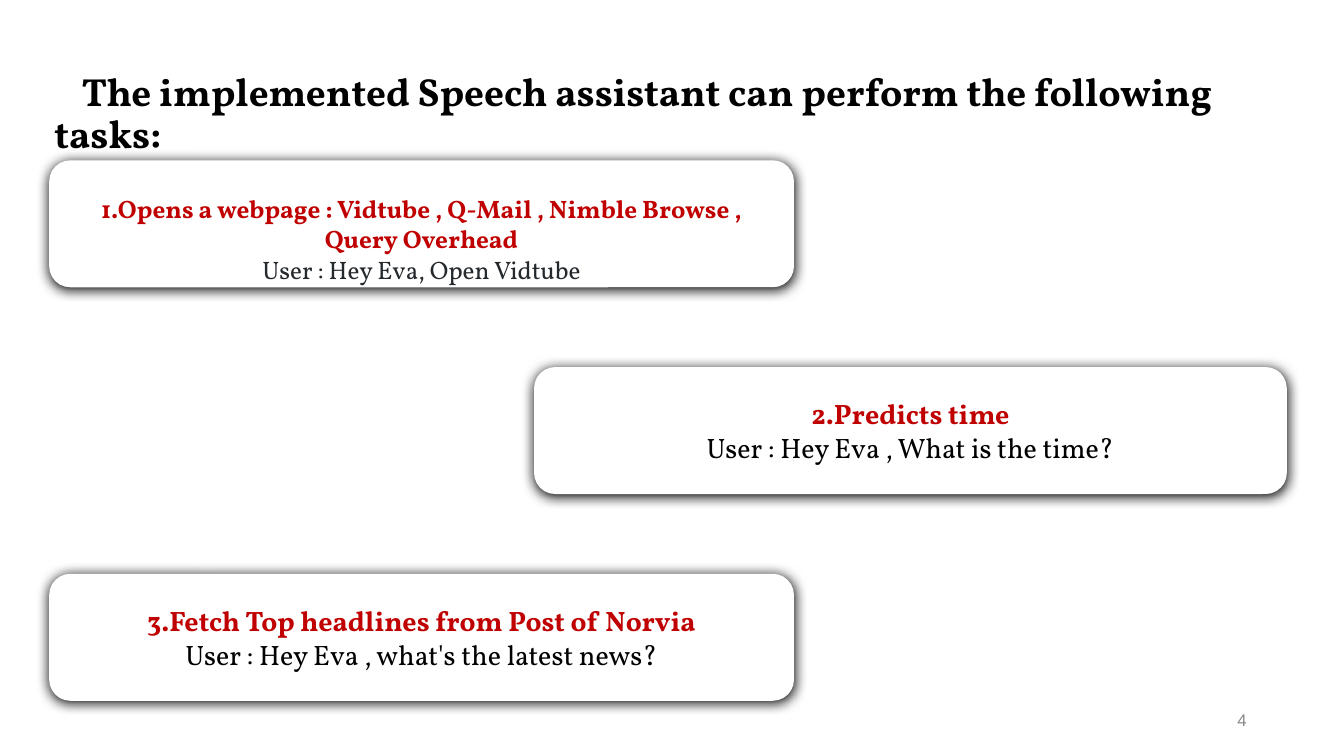
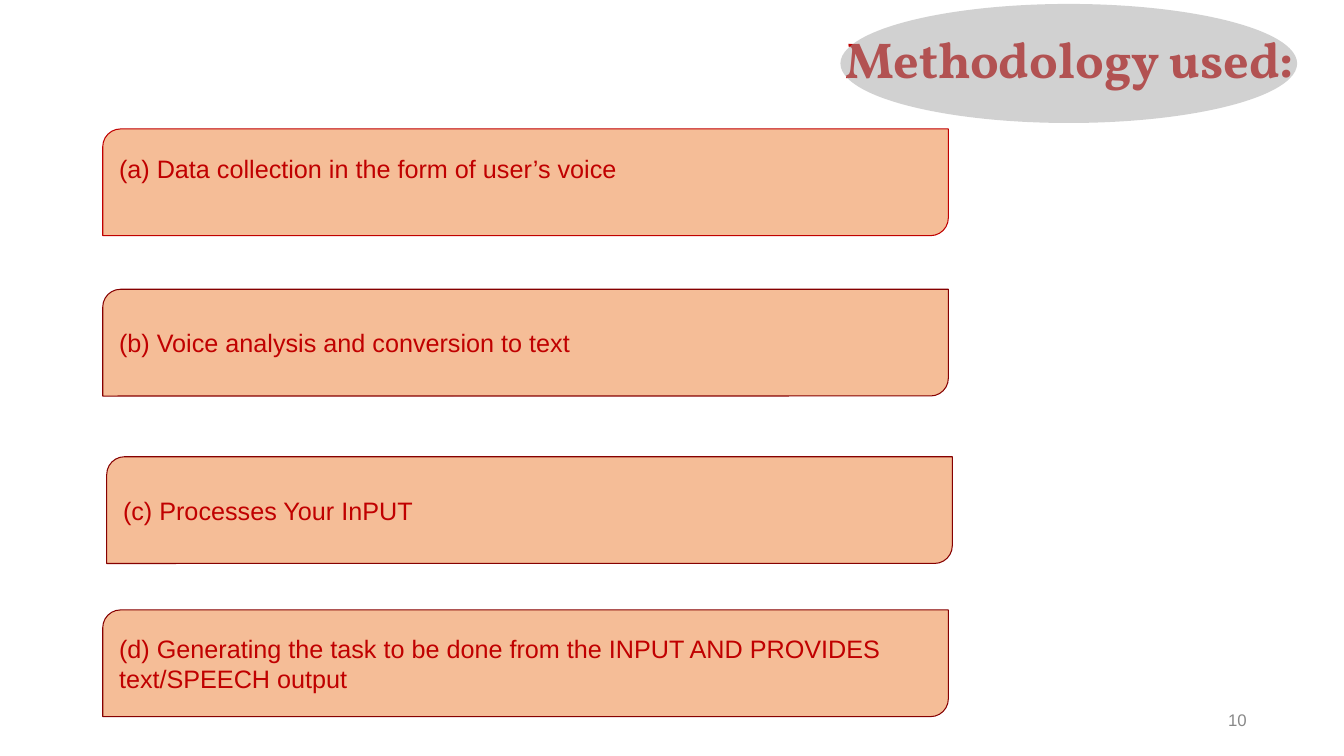
"""Build two slides on a speech assistant: its tasks and its method."""
from pptx import Presentation
from pptx.dml.color import RGBColor
from pptx.enum.shapes import MSO_SHAPE
from pptx.enum.text import MSO_ANCHOR, PP_ALIGN
from pptx.oxml.ns import qn
from pptx.util import Cm, Pt
from lxml import etree

ROUND = MSO_SHAPE.ROUNDED_RECTANGLE
LEAF = MSO_SHAPE.ROUND_2_DIAG_RECTANGLE
OVAL = MSO_SHAPE.OVAL
TOP, MIDDLE = MSO_ANCHOR.TOP, MSO_ANCHOR.MIDDLE
LEFT, CENTER, RIGHT = PP_ALIGN.LEFT, PP_ALIGN.CENTER, PP_ALIGN.RIGHT

BLACK = RGBColor(0x00, 0x00, 0x00)
WHITE = RGBColor(0xFF, 0xFF, 0xFF)
RED = RGBColor(0xC0, 0x00, 0x00)
MAROON = RGBColor(0x86, 0x00, 0x00)
ORANGE = RGBColor(0xED, 0x7D, 0x31)
SILVER = RGBColor(0xA5, 0xA5, 0xA5)
GREY = RGBColor(0x88, 0x88, 0x88)
INK = RGBColor(0x24, 0x29, 0x2E)

SERIF, SANS = "Vollkorn", "Arial"
INSET = 0.13


class Deck:
    def __init__(self):
        self.prs = Presentation()
        self.prs.slide_width, self.prs.slide_height = Cm(33.87), Cm(19.05)
        self.slide = None

    def page(self, number):
        self.slide = self.prs.slides.add_slide(self.prs.slide_layouts[6])
        self.label((30.05, 17.78, 1.5, 0.74), str(number), MIDDLE,
                   {"alignment": RIGHT},
                   {"name": SANS, "size": Pt(12)}, GREY)

    def frame(self, shape, anchor, sides=INSET, top=INSET, bottom=INSET):
        style = {"word_wrap": True, "vertical_anchor": anchor,
                 "margin_left": Cm(sides), "margin_right": Cm(sides),
                 "margin_top": Cm(top), "margin_bottom": Cm(bottom)}
        for key, value in style.items():
            setattr(shape.text_frame, key, value)
        return shape.text_frame

    def words(self, para, text, form, font, color):
        run = para.add_run()
        run.text = text
        for target, style in ((para, form), (run.font, font)):
            for key, value in style.items():
                setattr(target, key, value)
        run.font.color.rgb = color

    def label(self, box, text, anchor, form, font, color):
        shape = self.slide.shapes.add_textbox(*map(Cm, box))
        para = self.frame(shape, anchor).paragraphs[0]
        self.words(para, text, form, font, color)
        return para

    def title(self, box, text, anchor, size, color, before=0, indent=0):
        para = self.label(box, text, anchor,
                          {"line_spacing": 0.9, "space_before": Pt(before)},
                          {"name": SERIF, "size": Pt(size), "bold": True}, color)
        para._p.get_or_add_pPr().set("indent", str(Cm(indent)))

    def shape(self, kind, box, fill, line=None, alpha=None):
        shape = self.slide.shapes.add_shape(kind, *map(Cm, box))
        shape.shadow.inherit = False
        shape.fill.solid()
        shape.fill.fore_color.rgb = fill
        if line is None:
            shape.line.fill.background()
        else:
            shape.line.color.rgb = line
            shape.line.width = Pt(0.75)
        if alpha:
            tint = shape._element.spPr.find(qn("a:solidFill"))[0]
            etree.SubElement(tint, qn("a:alpha"), val=str(alpha * 1000))
        return shape

    def shade(self, shape):
        effects = shape._element.spPr.find(qn("a:effectLst"))
        outer = etree.SubElement(effects, qn("a:outerShdw"), blurRad=str(Pt(9)),
                                 dist=str(Pt(1)), dir="5400000",
                                 algn="ctr", rotWithShape="0")
        etree.SubElement(outer, qn("a:srgbClr"), val=str(BLACK))

    def card(self, box, head, quote, size, color, top, bottom):
        shape = self.shape(ROUND, box, WHITE)
        self.shade(shape)
        frame = self.frame(shape, MIDDLE, 0.36, top, bottom)
        rows = ((frame.paragraphs[0], head, True, RED),
                (frame.add_paragraph(), quote, False, color))
        for para, text, bold, tone in rows:
            self.words(para, text, {"alignment": CENTER},
                       {"name": SERIF, "size": Pt(size), "bold": bold}, tone)

    def step(self, box, text, line, bottom):
        shape = self.shape(LEAF, box, ORANGE, line, 50)
        frame = self.frame(shape, MIDDLE, 0.28, INSET, bottom)
        self.words(frame.paragraphs[0], text, {"alignment": LEFT},
                   {"name": SANS, "size": Pt(18)}, RED)


def tasks(deck):
    deck.page(4)
    deck.title((1.24, 1.7, 31.83, 2.3),
               "The implemented Speech assistant can perform the following tasks:",
               TOP, 28, BLACK, 10, 0.69)
    cards = (
        (1.24, 18.77, "1.Opens a webpage : Vidtube , Q-Mail , Nimble Browse , Query Overhead",
         "User : Hey Eva, Open Vidtube", 18, INK, 0.76, 0),
        (13.46, 18.97, "2.Predicts time",
         "User : Hey Eva , What is the time?", 20, BLACK, INSET, INSET),
        (1.24, 18.77, "3.Fetch Top headlines from Post of Norvia",
         "User : Hey Eva , what's the latest news?", 20, BLACK, INSET, INSET),
    )
    for i, (left, width, *rest) in enumerate(cards):
        deck.card((left, 4.04 + 5.21 * i, width, 3.2), *rest)


def method(deck):
    deck.page(10)
    deck.title((21.18, 0.05, 11.96, 3.05), "Methodology used:", MIDDLE, 36, RED)
    steps = (
        (2.59, 3.25, "(a) Data collection in the form of user’s voice", RED, 0.84),
        (2.59, 7.29, "(b) Voice analysis and conversion to text", MAROON, INSET),
        (2.69, 11.51, "(c) Processes Your InPUT", MAROON, INSET),
        (2.59, 15.37, "(d) Generating the task to be done from the INPUT AND PROVIDES "
         "text/SPEECH output", MAROON, INSET),
    )
    for left, top, *rest in steps:
        deck.step((left, top, 21.31, 2.69), *rest)
    deck.shape(OVAL, (21.18, 0.1, 11.51, 3), SILVER, alpha=50)


def main():
    deck = Deck()
    tasks(deck)
    method(deck)
    deck.prs.save("out.pptx")


if __name__ == "__main__":
    main()
